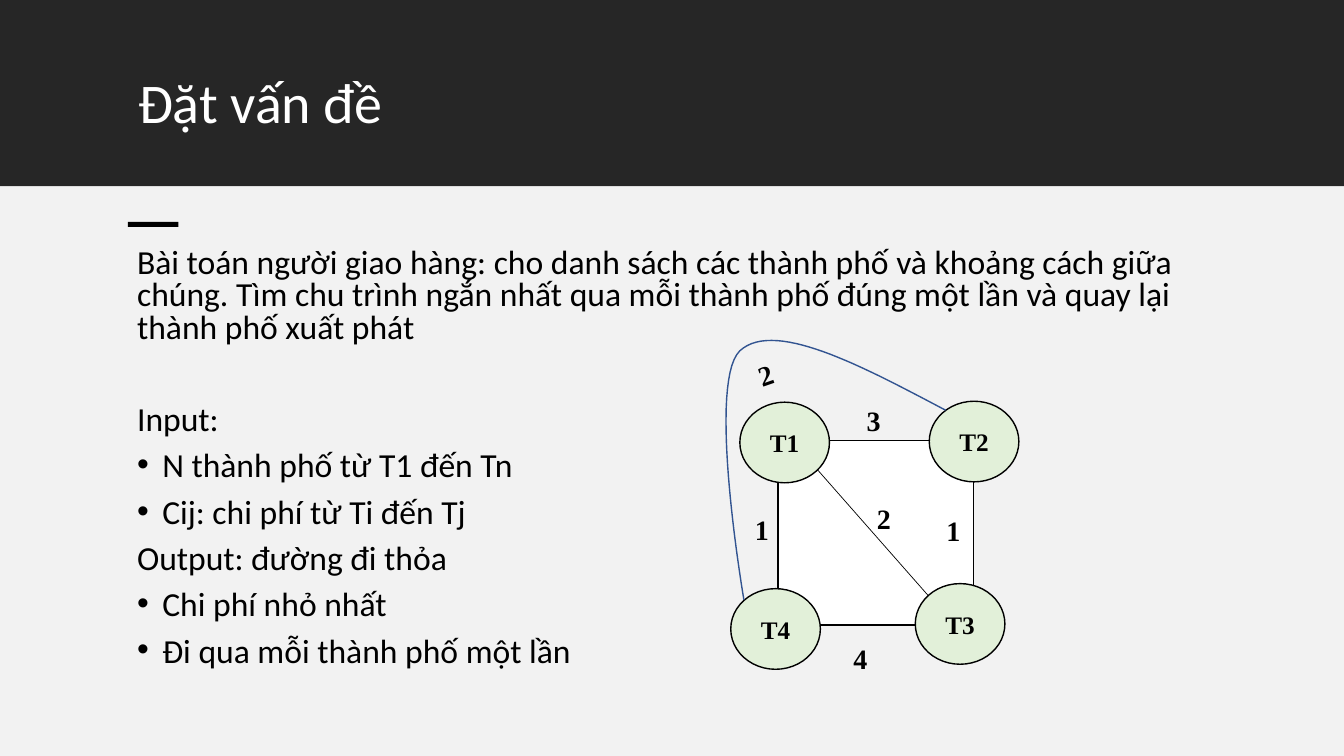
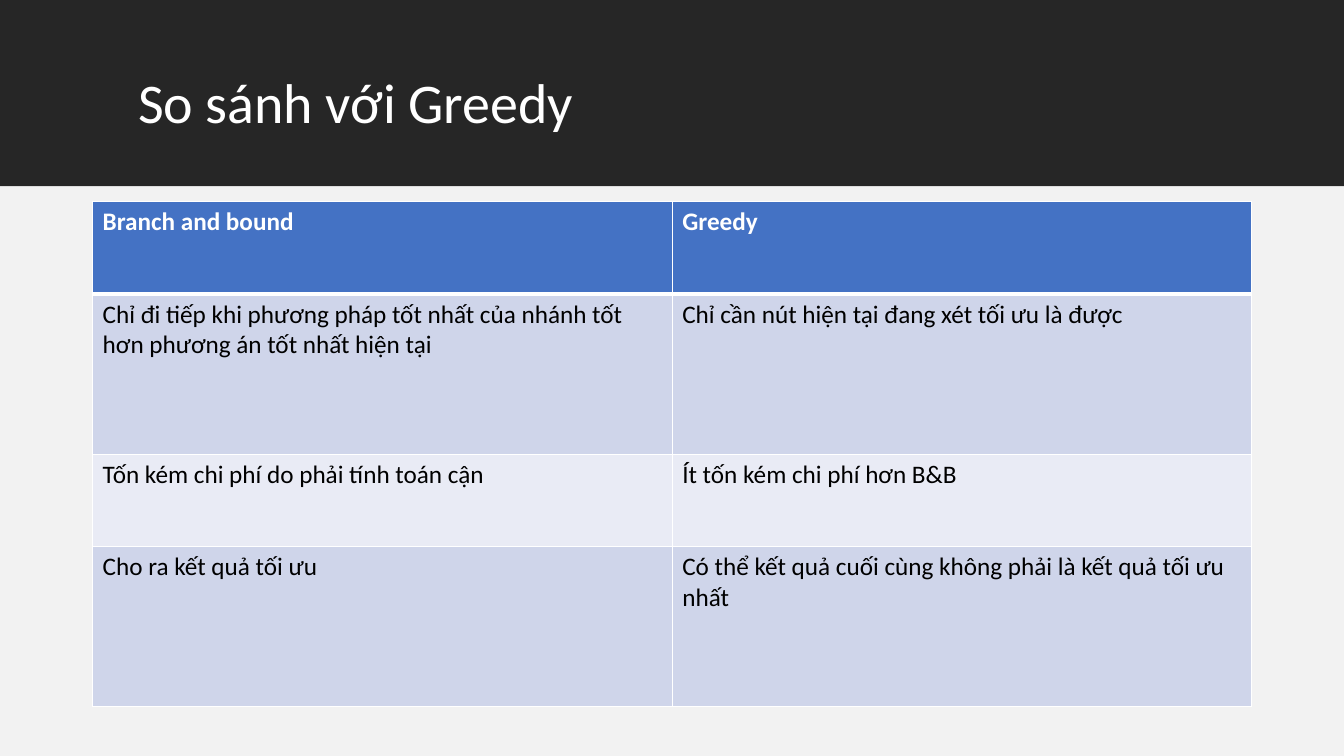
"""Build two slides on the travelling salesman problem and branch and bound."""
from lxml import etree
from pptx import Presentation
from pptx.dml.color import RGBColor
from pptx.enum.shapes import MSO_CONNECTOR, MSO_SHAPE
from pptx.enum.text import MSO_ANCHOR, MSO_AUTO_SIZE, PP_ALIGN
from pptx.oxml.ns import qn
from pptx.util import Pt

RECT, OVAL = MSO_SHAPE.RECTANGLE, MSO_SHAPE.OVAL
STRAIGHT = MSO_CONNECTOR.STRAIGHT
TOP, MIDDLE = MSO_ANCHOR.TOP, MSO_ANCHOR.MIDDLE
LEFT, CENTER = PP_ALIGN.LEFT, PP_ALIGN.CENTER
NO_FIT = MSO_AUTO_SIZE.NONE

COLORS = {name: RGBColor.from_string(value) for name, value in {
    "dark": "262626", "light": "F2F2F2", "black": "000000", "white": "FFFFFF",
    "node": "E2F0D9", "curve": "325491", "header": "4472C4",
    "odd": "CFD5EA", "even": "E9EBF5"}.items()}
SANS, SERIF = "Calibri", "Times New Roman"
WIDTH, HEIGHT, BAND = 960, 540, 133.2


def add_block(shapes, kind, box, fill, outline=None):
    block = shapes.add_shape(kind, *map(Pt, box))
    block.shadow.inherit = False
    block.fill.solid()
    block.fill.fore_color.rgb = COLORS[fill]
    if outline:
        block.line.color.rgb = COLORS[outline]
        block.line.width = Pt(1)
    else:
        block.line.fill.background()
    return block


def style_text(paragraph, size, color, font=SANS, bold=False, align=LEFT):
    paragraph.alignment = align
    for run in paragraph.runs:
        run.font.name = font
        run.font.size = Pt(size)
        run.font.bold = bold
        run.font.color.rgb = COLORS[color]


deck = Presentation()
deck.slide_width, deck.slide_height = Pt(WIDTH), Pt(HEIGHT)

slides = []
for layout, heading in ((1, "Đặt vấn đề"), (5, "So sánh với Greedy")):
    slide = deck.slides.add_slide(deck.slide_layouts[layout])
    backdrop = (add_block(slide.shapes, RECT, (0, 0, WIDTH, BAND), "dark"),
                add_block(slide.shapes, RECT, (0, BAND, WIDTH, HEIGHT - BAND), "light"))
    for position, band in enumerate(backdrop, 2):
        slide.shapes._spTree.insert(position, band._element)
    title = slide.shapes.title
    title.left, title.top, title.width, title.height = map(Pt, (91.4, 50.4, 778.3, 70.6))
    title.text_frame.text = heading
    title.text_frame.vertical_anchor = TOP
    title.text_frame.auto_size = NO_FIT
    title.text_frame.paragraphs[0].line_spacing = 0.9
    style_text(title.text_frame.paragraphs[0], 40, "white")
    slides.append(slide)
problem, comparison = slides

add_block(problem.shapes, RECT, (91.4, 158.4, 36, 3.6), "black")

STATEMENT = (
    ("Bài toán người giao hàng: cho danh sách các thành phố và khoảng cách giữa "
     "chúng. Tìm chu trình ngắn nhất qua mỗi thành phố đúng một lần và quay lại "
     "thành phố xuất phát", False, 10),
    ("Input:", False, 43),
    ("N thành phố từ T1 đến Tn", True, 10),
    ("Cij: chi phí từ Ti đến Tj", True, 10),
    ("Output: đường đi thỏa", False, 10),
    ("Chi phí nhỏ nhất", True, 10),
    ("Đi qua mỗi thành phố một lần", True, 10),
)
statement = problem.placeholders[1]
statement.left, statement.top, statement.width, statement.height = map(
    Pt, (90.7, 174.2, 778.3, 311.8))
statement.text_frame.text = "\n".join(text for text, _, _ in STATEMENT)
statement.text_frame.auto_size = NO_FIT
for paragraph, (_, bulleted, gap) in zip(statement.text_frame.paragraphs, STATEMENT):
    paragraph.line_spacing = 0.8
    paragraph.space_before = Pt(gap)
    style_text(paragraph, 24, "black")
    properties = paragraph._p.get_or_add_pPr()
    indent = Pt(18) if bulleted else 0
    properties.set("marL", str(indent))
    properties.set("indent", str(-indent))
    if bulleted:
        etree.SubElement(properties, qn("a:buChar")).set("char", "•")
    else:
        etree.SubElement(properties, qn("a:buNone"))

graph = problem.shapes.add_group_shape().shapes
add_block(graph, RECT, (555.8, 314.6, 139.7, 131.8), "white", "black")

CITIES = {"T1": (528.5, 287.3), "T2": (663.8, 286.6),
          "T4": (522, 420.5), "T3": (653.8, 416.9)}
for name, corner in CITIES.items():
    city = add_block(graph, OVAL, (*corner, 64, 57.6), "node", "black")
    city.text_frame.text = name
    city.text_frame.vertical_anchor = MIDDLE
    style_text(city.text_frame.paragraphs[0], 18, "black", SERIF, True, CENTER)

diagonal = graph.add_connector(STRAIGHT, Pt(583.9), Pt(335.5), Pt(663.1), Pt(425.5))
diagonal.line.color.rgb = COLORS["black"]
diagonal.line.width = Pt(0.5)
etree.SubElement(diagonal._element.spPr, qn("a:effectLst"))

BENDS = (((675.4, 293), (614.2, 260.6), (553, 228.2), (528.5, 250.6)),
         ((528.5, 250.6), (504.7, 273.6), (531.4, 428.4), (531.4, 428.4)))
STEPS = 30
route = []
for bend in BENDS:
    for step in range(STEPS + 1):
        t = step / STEPS
        weights = ((1 - t) ** 3, 3 * t * (1 - t) ** 2, 3 * t ** 2 * (1 - t), t ** 3)
        route.append([Pt(sum(w * value for w, value in zip(weights, axis)))
                      for axis in zip(*bend)])
outline = graph.build_freeform(*route[0])
outline.add_line_segments(route[1:], close=False)
detour = outline.convert_to_shape()
detour.shadow.inherit = False
detour.fill.background()
detour.line.color.rgb = COLORS["curve"]
detour.line.width = Pt(1)

COSTS = (("1", 532.1, 362.2, 0), ("2", 534.2, 249.1, 340.8), ("1", 668.9, 363.6, 0),
         ("3", 612, 284.4, 0), ("2", 619.2, 355, 0), ("4", 602.6, 455, 0))
for amount, left, top, angle in COSTS:
    cost = graph.add_textbox(Pt(left), Pt(top), Pt(40.3), Pt(31.7))
    cost.rotation = angle
    cost.text_frame.word_wrap = True
    cost.text_frame.text = amount
    style_text(cost.text_frame.paragraphs[0], 20, "black", SERIF, True)

METHODS = (
    ("Branch and bound", "Greedy"),
    ("Chỉ đi tiếp khi phương pháp tốt nhất của nhánh tốt hơn phương án tốt nhất hiện tại",
     "Chỉ cần nút hiện tại đang xét tối ưu là được"),
    ("Tốn kém chi phí do phải tính toán cận", "Ít tốn kém chi phí hơn B&B"),
    ("Cho ra kết quả tối ưu", "Có thể kết quả cuối cùng không phải là kết quả tối ưu nhất"),
)
ROW_HEIGHTS = (66, 114.4, 66, 114.4)
ROW_FILLS = ("header", "odd", "even", "odd")
methods = comparison.shapes.add_table(
    4, 2, Pt(66.2), Pt(144), Pt(828), Pt(sum(ROW_HEIGHTS))).table
for row, texts in enumerate(METHODS):
    methods.rows[row].height = Pt(ROW_HEIGHTS[row])
    for column, text in enumerate(texts):
        cell = methods.cell(row, column)
        cell.text = text
        style_text(cell.text_frame.paragraphs[0], 18,
                   "black" if row else "white", bold=row == 0)
        for side in ("lnL", "lnR", "lnT", "lnB"):
            thick = (row, side) in ((0, "lnB"), (1, "lnT"))
            border = etree.SubElement(cell._tc.get_or_add_tcPr(), qn(f"a:{side}"))
            border.set("w", str(Pt(3 if thick else 1)))
            paint = etree.SubElement(border, qn("a:solidFill"))
            etree.SubElement(paint, qn("a:srgbClr")).set("val", str(COLORS["white"]))
        cell.fill.solid()
        cell.fill.fore_color.rgb = COLORS[ROW_FILLS[row]]

deck.save("out.pptx")
